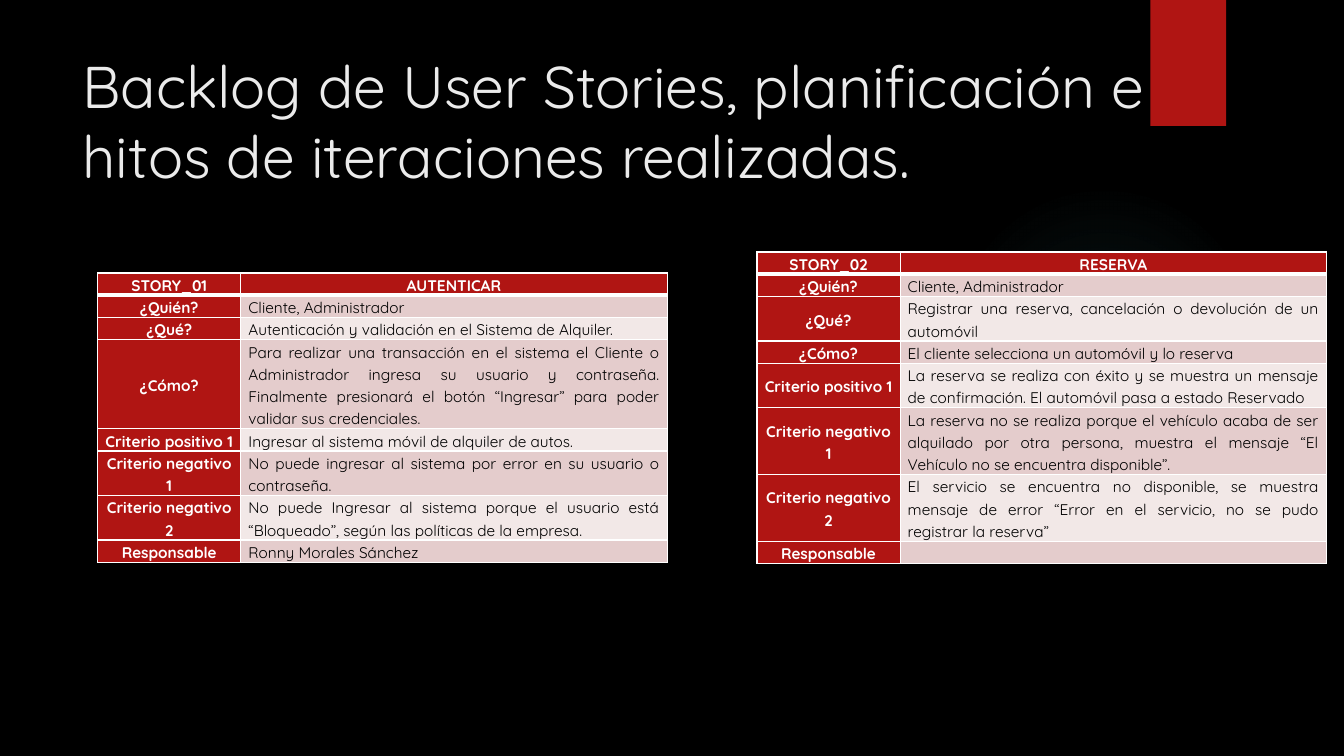
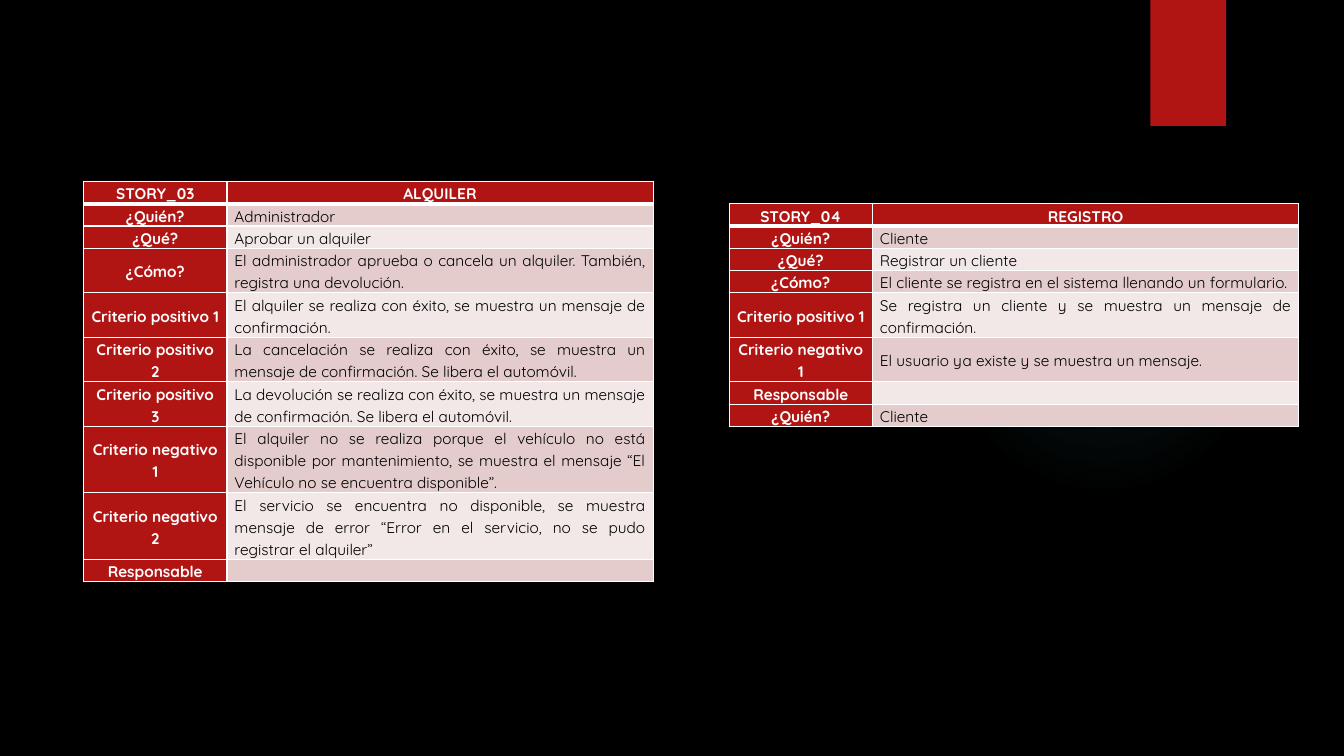
import dataclasses
import typing

import lxml.etree
import pptx
import pptx.dml.color
import pptx.enum.shapes
import pptx.enum.text
import pptx.oxml
import pptx.oxml.ns
import pptx.presentation
import pptx.shapes.autoshape
import pptx.slide
import pptx.table
import pptx.text.text
import pptx.util

Pt = pptx.util.Pt
PP_ALIGN = pptx.enum.text.PP_ALIGN
MIDDLE = pptx.enum.text.MSO_ANCHOR.MIDDLE
DRAWING = pptx.oxml.ns.nsdecls("a")


@dataclasses.dataclass(frozen=True)
class Theme:
    font: str = "Quicksand"
    background: str = "000000"
    accent: str = "B01513"
    glow: str = "50B9C1"
    title: str = "EBEBEB"
    heading: str = "FFFFFF"
    body: str = "000000"
    border: str = "FFFFFF"
    bands: tuple[str, str] = ("E4CCCC", "F2E8E7")
    title_size: float = 42
    table_size: float = 11
    thin: float = 1
    thick: float = 3
    line_spacing: float = 1.15
    row_height: float = 15.8
    columns: tuple[float, float] = (102.3, 304.5)
    side_margin: float = 5.4


THEME = Theme()


class Story(typing.NamedTuple):
    left: float
    top: float
    code: str
    name: str
    answers: tuple[tuple[str, str], ...]


class Page(typing.NamedTuple):
    title: str
    stories: tuple[Story, ...]


WHO, WHAT, HOW, OWNER = "¿Quién?", "¿Qué?", "¿Cómo?", "Responsable"
POSITIVE, NEGATIVE = "Criterio positivo ", "Criterio negativo "

PAGES = (
    Page("Backlog de User Stories, planificación e hitos de iteraciones realizadas.", (
        Story(69.8, 195, "STORY_01", "AUTENTICAR", (
            (WHO, "Cliente, Administrador"),
            (WHAT, "Autenticación y validación en el Sistema de Alquiler."),
            (HOW, "Para realizar una transacción en el sistema el Cliente o Administrador ingresa "
                  "su usuario y contraseña. Finalmente presionará el botón “Ingresar” para poder "
                  "validar sus credenciales."),
            (POSITIVE + "1", "Ingresar al sistema móvil de alquiler de autos."),
            (NEGATIVE + "1", "No puede ingresar al sistema por error en su usuario o contraseña."),
            (NEGATIVE + "2", "No puede Ingresar al sistema porque el usuario está “Bloqueado”, "
                             "según las políticas de la empresa."),
            (OWNER, "Ronny Morales Sánchez"),
        )),
        Story(540.7, 180, "STORY_02", "RESERVA", (
            (WHO, "Cliente, Administrador"),
            (WHAT, "Registrar una reserva, cancelación o devolución de un automóvil"),
            (HOW, "El cliente selecciona un automóvil y lo reserva"),
            (POSITIVE + "1", "La reserva se realiza con éxito y se muestra un mensaje de "
                             "confirmación. El automóvil pasa a estado Reservado"),
            (NEGATIVE + "1", "La reserva no se realiza porque el vehículo acaba de ser alquilado "
                             "por otra persona, muestra el mensaje “El Vehículo no se encuentra "
                             "disponible”."),
            (NEGATIVE + "2", "El servicio se encuentra no disponible, se muestra mensaje de error "
                             "“Error en el servicio, no se pudo registrar la reserva”"),
            (OWNER, ""),
        )),
    )),
    Page("", (
        Story(59.8, 129.6, "STORY_03", "ALQUILER", (
            (WHO, "Administrador"),
            (WHAT, "Aprobar un alquiler"),
            (HOW, "El administrador aprueba o cancela un alquiler. También, registra una "
                  "devolución."),
            (POSITIVE + "1", "El alquiler se realiza con éxito, se muestra un mensaje de "
                             "confirmación."),
            (POSITIVE + "2", "La cancelación se realiza con éxito, se muestra un mensaje de "
                             "confirmación. Se libera el automóvil."),
            (POSITIVE + "3", "La devolución se realiza con éxito, se muestra un mensaje de "
                             "confirmación. Se libera el automóvil."),
            (NEGATIVE + "1", "El alquiler no se realiza porque el vehículo no está disponible por "
                             "mantenimiento, se muestra el mensaje “El Vehículo no se encuentra "
                             "disponible”."),
            (NEGATIVE + "2", "El servicio se encuentra no disponible, se muestra mensaje de error "
                             "“Error en el servicio, no se pudo registrar el alquiler”"),
            (OWNER, ""),
        )),
        Story(520.9, 145.6, "STORY_04", "REGISTRO", (
            (WHO, "Cliente"),
            (WHAT, "Registrar un cliente"),
            (HOW, "El cliente se registra en el sistema llenando un formulario."),
            (POSITIVE + "1", "Se registra un cliente y se muestra un mensaje de confirmación."),
            (NEGATIVE + "1", "El usuario ya existe y se muestra un mensaje."),
            (OWNER, ""),
            (WHO, "Cliente"),
        )),
    )),
)


def rgb(color: str) -> pptx.dml.color.RGBColor:
    return pptx.dml.color.RGBColor.from_string(color)


def add_run(paragraph: pptx.text.text._Paragraph, text: str, size: float,
            color: str, bold: bool = False) -> None:
    run = paragraph.add_run()
    run.text = text
    run.font.name = THEME.font
    run.font.size = Pt(size)
    run.font.bold = bold
    run.font.color.rgb = rgb(color)


def add_decoration(slide: pptx.slide.Slide, kind: pptx.enum.shapes.MSO_SHAPE, left: float,
                   top: float, width: float, height: float) -> pptx.shapes.autoshape.Shape:
    shape = slide.shapes.add_shape(kind, Pt(left), Pt(top), Pt(width), Pt(height))
    shape.line.fill.background()
    shape.shadow.inherit = False
    return shape


def decorate_master(deck: pptx.presentation.Presentation, slide: pptx.slide.Slide) -> None:
    master = deck.slide_master
    master.background.fill.solid()
    master.background.fill.fore_color.rgb = rgb(THEME.background)

    glow = add_decoration(slide, pptx.enum.shapes.MSO_SHAPE.OVAL, 677.5, 131.8, 221.8, 221.8)
    stops = "".join(
        f'<a:gs pos="{place * 1000}"><a:srgbClr val="{THEME.glow}">'
        f'<a:alpha val="{alpha * 1000}"/></a:srgbClr></a:gs>'
        for place, alpha in ((0, 7), (36, 6), (69, 0)))
    gradient = pptx.oxml.parse_xml(
        f'<a:gradFill {DRAWING}><a:gsLst>{stops}</a:gsLst><a:path path="circle">'
        '<a:fillToRect l="50000" t="50000" r="50000" b="50000"/></a:path></a:gradFill>')
    glow.element.spPr.find(pptx.oxml.ns.qn("a:prstGeom")).addnext(gradient)

    ribbon = add_decoration(slide, pptx.enum.shapes.MSO_SHAPE.RECTANGLE, 821.8, 0, 54, 90)
    ribbon.fill.solid()
    ribbon.fill.fore_color.rgb = rgb(THEME.accent)
    ribbon.element.spPr.find(pptx.oxml.ns.qn("a:effectLst")).append(pptx.oxml.parse_xml(
        f'<a:outerShdw {DRAWING} blurRad="{Pt(3)}" dist="{Pt(2)}" dir="5400000">'
        '<a:srgbClr val="000000"><a:alpha val="45000"/></a:srgbClr></a:outerShdw>'))

    for position, decoration in enumerate((glow, ribbon), start=2):
        master.shapes.element.insert(position, decoration.element)


def set_title(slide: pptx.slide.Slide, text: str) -> None:
    title = slide.shapes.title
    title.left, title.top, title.width, title.height = Pt(51.8), Pt(31.7), Pt(848.9), Pt(116)
    frame = title.text_frame
    frame.word_wrap = True
    frame.auto_size = pptx.enum.text.MSO_AUTO_SIZE.NONE
    frame.vertical_anchor = pptx.enum.text.MSO_ANCHOR.TOP
    paragraph = frame.paragraphs[0]
    paragraph.alignment = PP_ALIGN.LEFT
    add_run(paragraph, text, THEME.title_size, THEME.title)


def set_borders(cell: pptx.table._Cell, top: float, bottom: float) -> None:
    properties = cell._tc.get_or_add_tcPr()
    edges = (("L", THEME.thin), ("R", THEME.thin), ("T", top), ("B", bottom))
    for position, (side, width) in enumerate(edges):
        properties.insert(position, pptx.oxml.parse_xml(
            f'<a:ln{side} {DRAWING} w="{Pt(width)}"><a:solidFill>'
            f'<a:srgbClr val="{THEME.border}"/></a:solidFill></a:ln{side}>'))


def fill_cell(cell: pptx.table._Cell, text: str, row: int, is_heading: bool) -> None:
    cell.fill.solid()
    cell.fill.fore_color.rgb = rgb(THEME.accent if is_heading else THEME.bands[(row - 1) % 2])
    cell.vertical_anchor = MIDDLE
    cell.margin_left = cell.margin_right = Pt(THEME.side_margin)
    cell.margin_top = cell.margin_bottom = Pt(0)
    set_borders(cell, THEME.thick if row == 1 else THEME.thin,
                THEME.thick if row == 0 else THEME.thin)
    paragraph = cell.text_frame.paragraphs[0]
    paragraph.alignment = PP_ALIGN.CENTER if is_heading else PP_ALIGN.JUSTIFY
    paragraph.line_spacing = THEME.line_spacing
    if text:
        add_run(paragraph, text, THEME.table_size,
                THEME.heading if is_heading else THEME.body, is_heading)
    else:
        ending = lxml.etree.SubElement(paragraph._p, pptx.oxml.ns.qn("a:endParaRPr"))
        ending.set("sz", str(int(THEME.table_size * 100)))
        lxml.etree.SubElement(ending, pptx.oxml.ns.qn("a:latin")).set("typeface", THEME.font)


def add_story(slide: pptx.slide.Slide, story: Story) -> None:
    rows = ((story.code, story.name), *story.answers)
    table = slide.shapes.add_table(
        len(rows), len(THEME.columns), Pt(story.left), Pt(story.top),
        Pt(sum(THEME.columns)), Pt(THEME.row_height * len(rows))).table
    table.horz_banding = False
    for column, width in zip(table.columns, THEME.columns):
        column.width = Pt(width)
    for row, texts in enumerate(rows):
        table.rows[row].height = Pt(THEME.row_height)
        for column, text in enumerate(texts):
            fill_cell(table.cell(row, column), text, row, row == 0 or column == 0)


def build() -> None:
    deck = pptx.Presentation()
    deck.slide_width, deck.slide_height = Pt(960), Pt(540)
    title_only, blank = deck.slide_layouts[5], deck.slide_layouts[6]
    for number, page in enumerate(PAGES):
        slide = deck.slides.add_slide(title_only if page.title else blank)
        if number == 0:
            decorate_master(deck, slide)
        if page.title:
            set_title(slide, page.title)
        for story in page.stories:
            add_story(slide, story)
    deck.save("out.pptx")


build()
